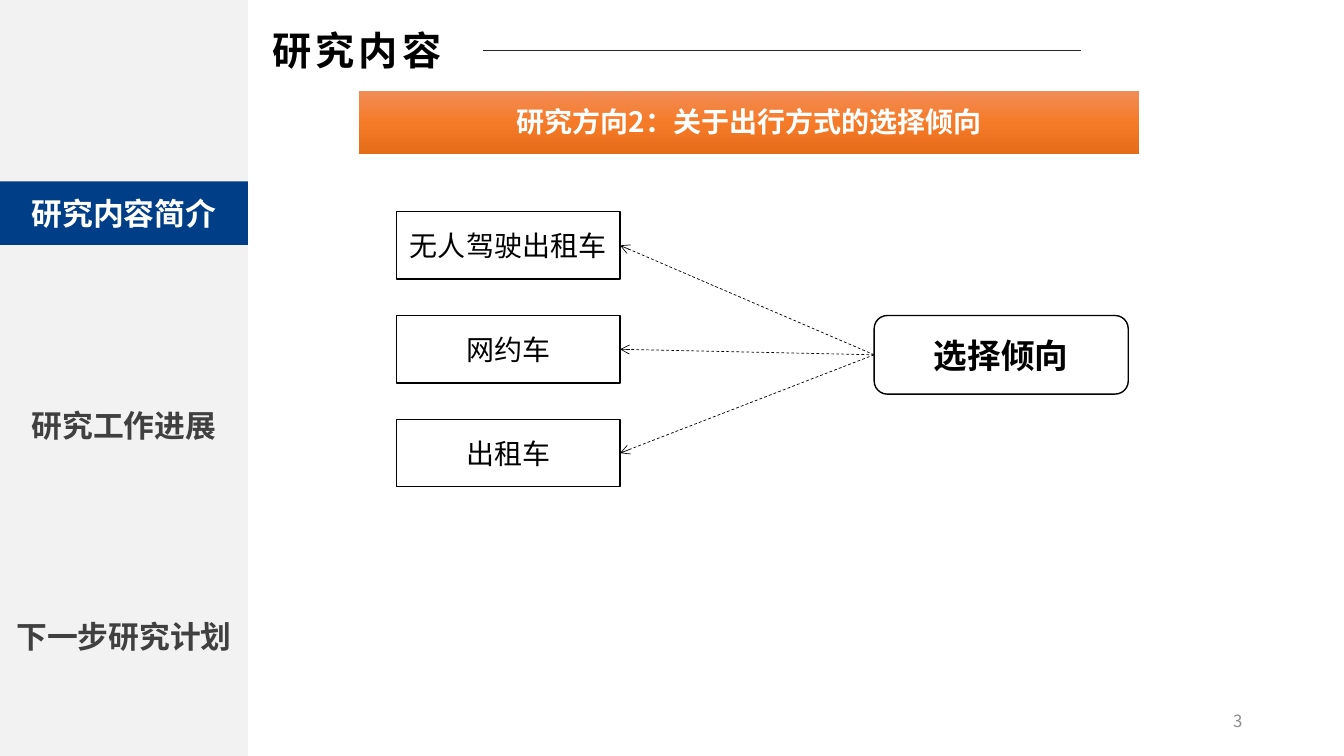
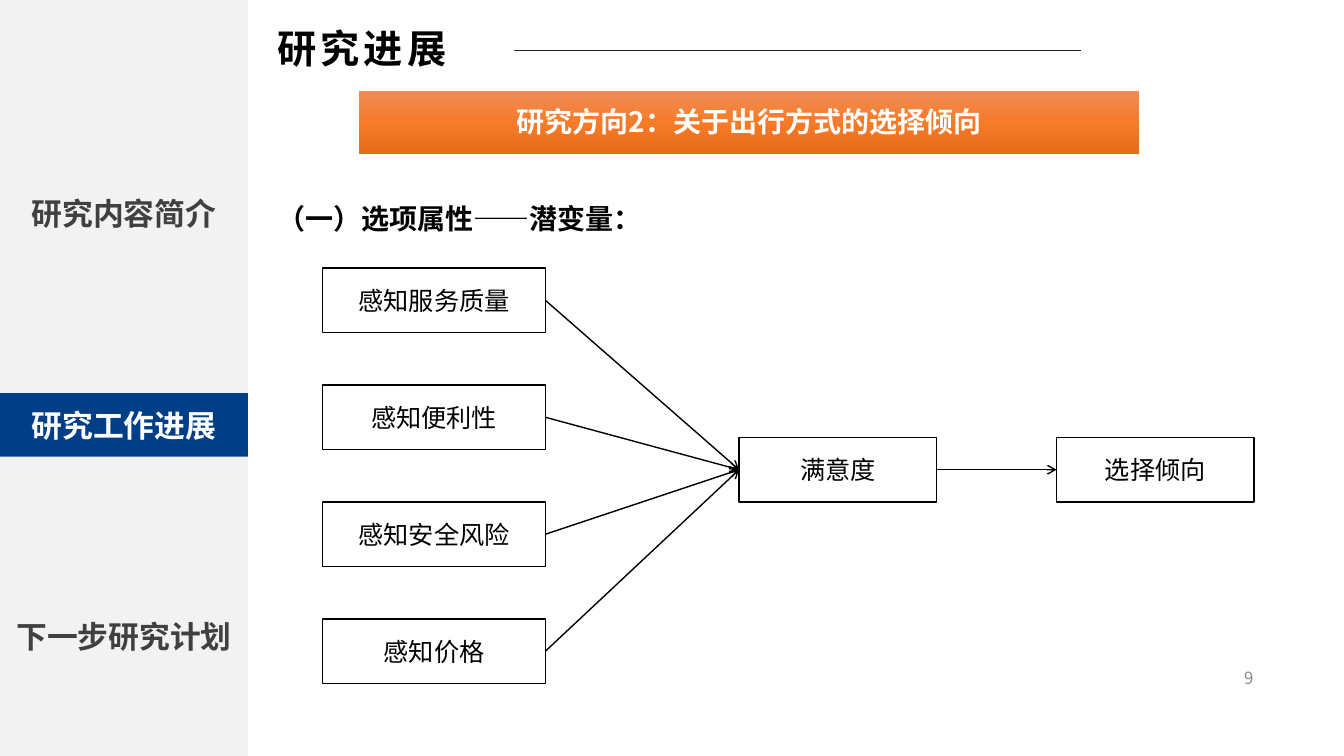
from lxml import etree
from pptx import Presentation
from pptx import util as u
from pptx.dml.color import RGBColor
from pptx.enum import dml, shapes, text
from pptx.oxml.ns import qn

FONT = "Noto Sans CJK SC"
BLACK, WHITE, NAVY = "000000", "FFFFFF", "003E87"
PANEL, MENU_TEXT, RULE, PAGE_TEXT = "F2F2F2", "404040", "262626", "8C8C8C"
BANNER_STOPS = ((0, "F18C57"), (50, "F67B28"), (100, "E56C19"))
MENU = ("研究内容简介", "研究工作进展", "下一步研究计划")
BANNER = "研究方向2：关于出行方式的选择倾向"
LEFT_SITE, RIGHT_SITE = 1, 3
ALIGN = text.PP_ALIGN
ANCHOR = text.MSO_ANCHOR


def color(value):
    return RGBColor.from_string(value)


def add_text(box, words, size, ink=BLACK, bold=False, align=ALIGN.CENTER,
             anchor=ANCHOR.MIDDLE, leading=None, tracking=None):
    frame = box.text_frame
    frame.word_wrap = True
    frame.vertical_anchor = anchor
    para = frame.paragraphs[0]
    para.alignment = align
    if leading:
        para.line_spacing = leading
    span = para.add_run()
    span.text = words
    span.font.size = u.Pt(size)
    span.font.bold = bold
    span.font.name = FONT
    span.font.color.rgb = color(ink)
    props = span.font._element
    etree.SubElement(props, qn("a:ea")).set("typeface", FONT)
    if tracking:
        props.set("spc", str(tracking * 100))


def add_block(page, left, top, width, height, fill=None, outline=None,
              kind=shapes.MSO_SHAPE.RECTANGLE):
    box = page.shapes.add_shape(kind, u.Inches(left), u.Inches(top),
                                u.Inches(width), u.Inches(height))
    box.shadow.inherit = False
    if fill:
        box.fill.solid()
        box.fill.fore_color.rgb = color(fill)
    else:
        box.fill.background()
    if outline:
        box.line.color.rgb = color(outline)
        box.line.width = u.Pt(1)
    else:
        box.line.fill.background()
    return box


def add_node(page, words, left, top, width, height, size, **style):
    """Outlined diagram box with a centred label."""
    kind = style.pop("kind", shapes.MSO_SHAPE.RECTANGLE)
    box = add_block(page, left, top, width, height, outline=BLACK, kind=kind)
    add_text(box, words, size, **style)
    return box


def add_text_box(page, left, top, width, height, words, size, **style):
    box = page.shapes.add_textbox(u.Inches(left), u.Inches(top),
                                  u.Inches(width), u.Inches(height))
    add_text(box, words, size, **style)


def add_line(page, start, end, ink, weight):
    line = page.shapes.add_connector(
        shapes.MSO_CONNECTOR.STRAIGHT,
        *(u.Inches(value) for value in (*start, *end)))
    line.line.color.rgb = color(ink)
    line.line.width = u.Pt(weight)
    etree.SubElement(line._element.spPr, qn("a:effectLst"))
    return line


def add_arrow(page, source, source_site, target, target_site, weight=1,
              dashed=False):
    """Arrow glued to a connection site of each box."""
    arrow = add_line(page, (0, 0), (0, 0), BLACK, weight)
    arrow.begin_connect(source, source_site)
    arrow.end_connect(target, target_site)
    if dashed:
        arrow.line.dash_style = dml.MSO_LINE.DASH
    outline = arrow.line._get_or_add_ln()
    etree.SubElement(outline, qn("a:tailEnd")).set("type", "arrow")


def add_banner(page):
    box = add_block(page, 3.56, 0.9, 7.74, 0.63)
    box.fill.gradient()
    box.fill.gradient_angle = 270
    stops = box._element.spPr.find(qn("a:gradFill")).find(qn("a:gsLst"))
    for stop in list(stops):
        stops.remove(stop)
    for percent, value in BANNER_STOPS:
        stop = etree.SubElement(stops, qn("a:gs"))
        stop.set("pos", str(percent * 1000))
        etree.SubElement(stop, qn("a:srgbClr")).set("val", value)
    add_text(box, BANNER, 20, WHITE, bold=True, anchor=ANCHOR.TOP,
             leading=1.25)


def add_menu(page, active):
    for index, words in enumerate(MENU):
        fill, ink = (NAVY, WHITE) if index == active else (PANEL, MENU_TEXT)
        box = add_block(page, 0, 1.8 + 2.1 * index, 2.46, 0.63, fill)
        frame = box.text_frame
        frame.margin_left = frame.margin_right = 0
        frame.margin_top = frame.margin_bottom = 0
        add_text(box, words, 22, ink, bold=True)


def add_page(deck, active, title, title_place, number, number_place):
    """Page with side menu, title over its rule, banner and page number."""
    page = deck.slides.add_slide(deck.slide_layouts[6])
    add_block(page, 0, 0, 2.46, 7.5, PANEL)
    add_line(page, (3.74, 0.5), (10.72, 0.5), RULE, 0.5)
    add_menu(page, active)
    heading = add_block(page, *title_place, 0.57, WHITE)
    add_text(heading, title, 28, bold=True, align=ALIGN.LEFT,
             anchor=ANCHOR.TOP, tracking=3)
    heading.text_frame.auto_size = text.MSO_AUTO_SIZE.SHAPE_TO_FIT_TEXT
    add_banner(page)
    add_text_box(page, *number_place, 3, 0.4, number, 12, ink=PAGE_TEXT,
                 align=ALIGN.RIGHT)
    return page


def add_node_column(page, labels, left, top, pitch, width, height, size):
    return [add_node(page, words, left, top + pitch * index, width, height,
                     size)
            for index, words in enumerate(labels)]


def build_content_page(deck):
    page = add_page(deck, 0, "研究内容", (2.6, 0.21, 2.19), "3", (9.42, 6.95))
    modes = add_node_column(page, ("无人驾驶出租车", "网约车", "出租车"),
                            3.93, 2.1, 1.03, 2.22, 0.67, 20)
    choice = add_node(page, "选择倾向", 8.67, 3.13, 2.52, 0.78, 24, bold=True,
                      kind=shapes.MSO_SHAPE.ROUNDED_RECTANGLE)
    for mode in modes:
        add_arrow(page, choice, LEFT_SITE, mode, RIGHT_SITE, weight=0.5,
                  dashed=True)


def build_progress_page(deck):
    page = add_page(deck, 1, "研究进展", (2.65, 0.19, 2.45), "9", (9.53, 6.52))
    add_text_box(page, 2.65, 1.78, 10.46, 0.69, "（一）选项属性——潜变量：", 20,
                 bold=True, align=ALIGN.JUSTIFY, anchor=ANCHOR.TOP,
                 leading=1.5)
    factors = add_node_column(
        page, ("感知服务质量", "感知便利性", "感知安全风险", "感知价格"),
        3.2, 2.66, 1.16, 2.21, 0.64, 18)
    satisfaction = add_node(page, "满意度", 7.33, 4.34, 1.96, 0.64, 18)
    choice = add_node(page, "选择倾向", 10.48, 4.34, 1.96, 0.64, 18)
    for factor in factors:
        add_arrow(page, factor, RIGHT_SITE, satisfaction, LEFT_SITE)
    add_arrow(page, satisfaction, RIGHT_SITE, choice, LEFT_SITE)


def main():
    deck = Presentation()
    deck.slide_width, deck.slide_height = u.Inches(13.33), u.Inches(7.5)
    build_content_page(deck)
    build_progress_page(deck)
    deck.save("out.pptx")


if __name__ == "__main__":
    main()
